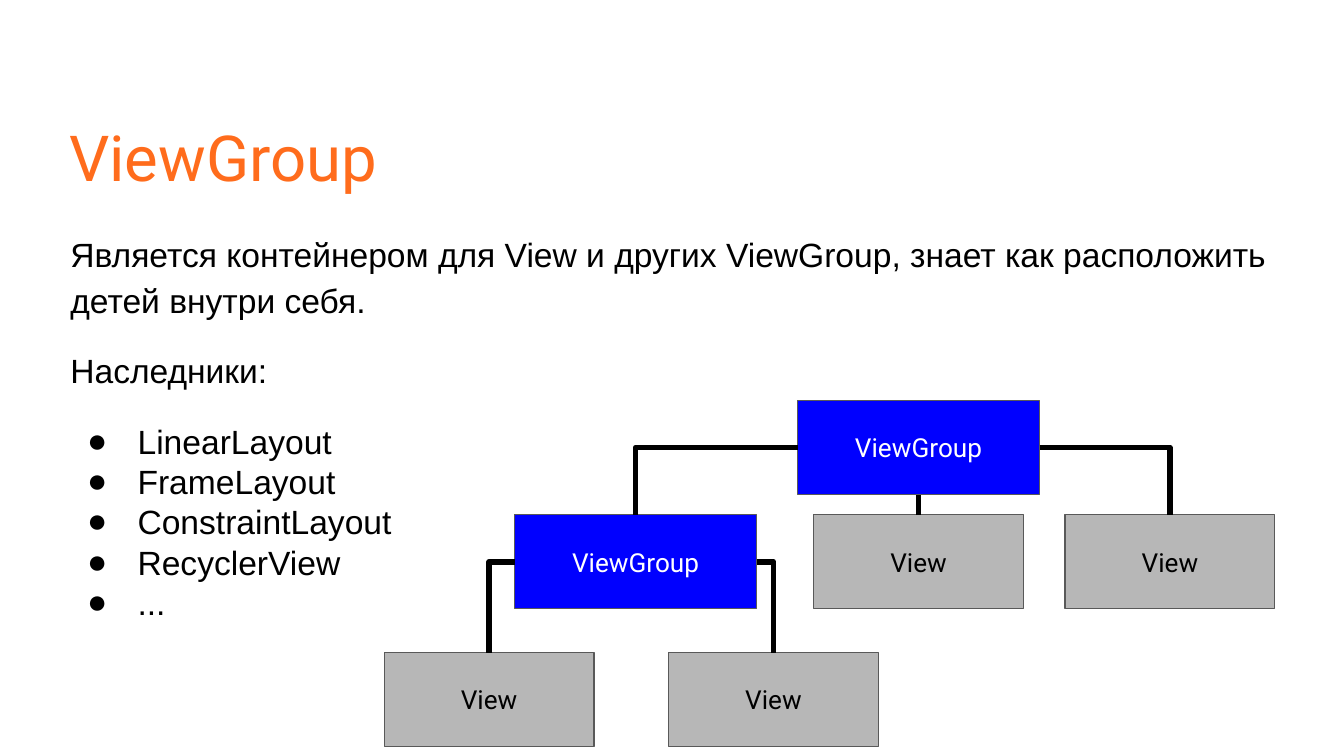
from dataclasses import dataclass

from lxml.etree import SubElement
from pptx import Presentation
from pptx.dml.color import RGBColor
from pptx.enum.shapes import MSO_CONNECTOR as Connector, MSO_SHAPE as Shape
from pptx.enum.text import MSO_ANCHOR as Anchor, PP_ALIGN as Align
from pptx.oxml.ns import qn
from pptx.util import Pt

PX = 4572
TOP, LEFT, BOTTOM, RIGHT = range(4)
NODE_HEIGHT = 140


@dataclass(frozen=True)
class Theme:
    """Colours, fonts and type sizes of the slide."""
    accent: str = "FF6C1C"
    ink: str = "000000"
    paper: str = "FFFFFF"
    group: str = "0000FF"
    view: str = "B7B7B7"
    outline: str = "595959"
    heading_font: str = "Roboto"
    body_font: str = "Arial"
    title_size: int = 34
    body_size: int = 18
    node_size: int = 14


THEME = Theme()


def px(*lengths):
    """Turn px lengths into EMU."""
    return [length * PX for length in lengths]


def set_margins(frame, left, top, right, bottom):
    """Set the insets of a wrapping text frame."""
    frame.word_wrap = True
    frame.margin_left, frame.margin_top, frame.margin_right, frame.margin_bottom = px(
        left, top, right, bottom)


def add_run(paragraph, text, font, size, color):
    """Add one styled run to a paragraph."""
    run = paragraph.add_run()
    run.text = text
    run.font.name = font
    run.font.size = Pt(size)
    run.font.color.rgb = RGBColor.from_string(color)


def add_bullet(paragraph):
    """Give a paragraph a hanging round bullet."""
    properties = paragraph._p.get_or_add_pPr()
    properties.set("marL", str(100 * PX))
    properties.set("indent", str(-75 * PX))
    color = SubElement(properties, qn("a:buClr"))
    SubElement(color, qn("a:srgbClr"), val=THEME.ink)
    SubElement(properties, qn("a:buFont"), typeface=THEME.body_font)
    SubElement(properties, qn("a:buChar"), char="●")


def add_title(slide, box):
    """Place the heading in the lower part of its box."""
    frame = slide.shapes.add_textbox(*px(*box)).text_frame
    set_margins(frame, 4, 118, 4, 4)
    frame.vertical_anchor = Anchor.MIDDLE
    add_run(frame.paragraphs[0], "ViewGroup", THEME.heading_font, THEME.title_size, THEME.accent)


def add_body(slide, box):
    """Place the definition and the list of subclasses."""
    frame = slide.shapes.add_textbox(*px(*box)).text_frame
    set_margins(frame, 20, 20, 20, 20)
    definition = ("Является контейнером для View и других ViewGroup, "
                  "знает как расположить детей внутри себя.")
    subclasses = ["LinearLayout", "FrameLayout", "ConstraintLayout", "RecyclerView", "..."]
    for index, text in enumerate([definition, "Наследники:", *subclasses]):
        paragraph = frame.add_paragraph() if index else frame.paragraphs[0]
        paragraph.line_spacing = 1.0 if index else 1.15
        paragraph.space_before = Pt(16 if index in (1, 2) else 0)
        if text in subclasses:
            add_bullet(paragraph)
        add_run(paragraph, text, THEME.body_font, THEME.body_size, THEME.ink)


def add_node(slide, left, top, is_group):
    """Place one box of the tree."""
    width, fill, color, label = (
        (360, THEME.group, THEME.paper, "ViewGroup") if is_group
        else (312, THEME.view, THEME.ink, "View"))
    node = slide.shapes.add_shape(Shape.RECTANGLE, *px(left, top, width, NODE_HEIGHT))
    node.shadow.inherit = False
    node.fill.solid()
    node.fill.fore_color.rgb = RGBColor.from_string(fill)
    node.line.color.rgb = RGBColor.from_string(THEME.outline)
    node.line.width = Pt(0.75)
    set_margins(node.text_frame, 20, 20, 20, 20)
    node.text_frame.vertical_anchor = Anchor.MIDDLE
    paragraph = node.text_frame.paragraphs[0]
    paragraph.alignment = Align.CENTER
    add_run(paragraph, label, THEME.heading_font, THEME.node_size, color)
    return node


def add_link(slide, parent, side, child):
    """Join a side of the parent to the top of the child."""
    kind = Connector.STRAIGHT if side == BOTTOM else Connector.ELBOW
    link = slide.shapes.add_connector(kind, 0, 0, 0, 0)
    link.begin_connect(parent, side)
    link.end_connect(child, TOP)
    link.line.color.rgb = RGBColor.from_string(THEME.ink)
    link.line.width = Pt(3)
    properties = link._element.spPr
    SubElement(properties, qn("a:effectLst"))
    if kind == Connector.ELBOW:
        properties.find(qn("a:prstGeom")).set("prst", "bentConnector2")


def add_tree(slide, box):
    """Place the hierarchy of groups and views."""
    left, top, width, height = box
    middle, bottom = top + 170, top + height - NODE_HEIGHT
    root = add_node(slide, left + 615, top, True)
    group = add_node(slide, left + 194, middle, True)
    center_view = add_node(slide, left + 639, middle, False)
    right_view = add_node(slide, left + width - 312, middle, False)
    first_leaf = add_node(slide, left, bottom, False)
    second_leaf = add_node(slide, left + 423, bottom, False)
    for parent, side, child in [
        (root, LEFT, group),
        (root, BOTTOM, center_view),
        (root, RIGHT, right_view),
        (group, LEFT, first_leaf),
        (group, RIGHT, second_leaf),
    ]:
        add_link(slide, parent, side, child)


def main():
    """Build the slide and save it."""
    presentation = Presentation()
    presentation.slide_width, presentation.slide_height = px(2000, 1125)
    slide = presentation.slides.add_slide(presentation.slide_layouts[6])
    add_title(slide, (99, 4, 1374, 344))
    add_body(slide, (85, 319, 1864, 170))
    add_tree(slide, (572, 596, 1325, 515))
    presentation.save("out.pptx")


if __name__ == "__main__":
    main()
